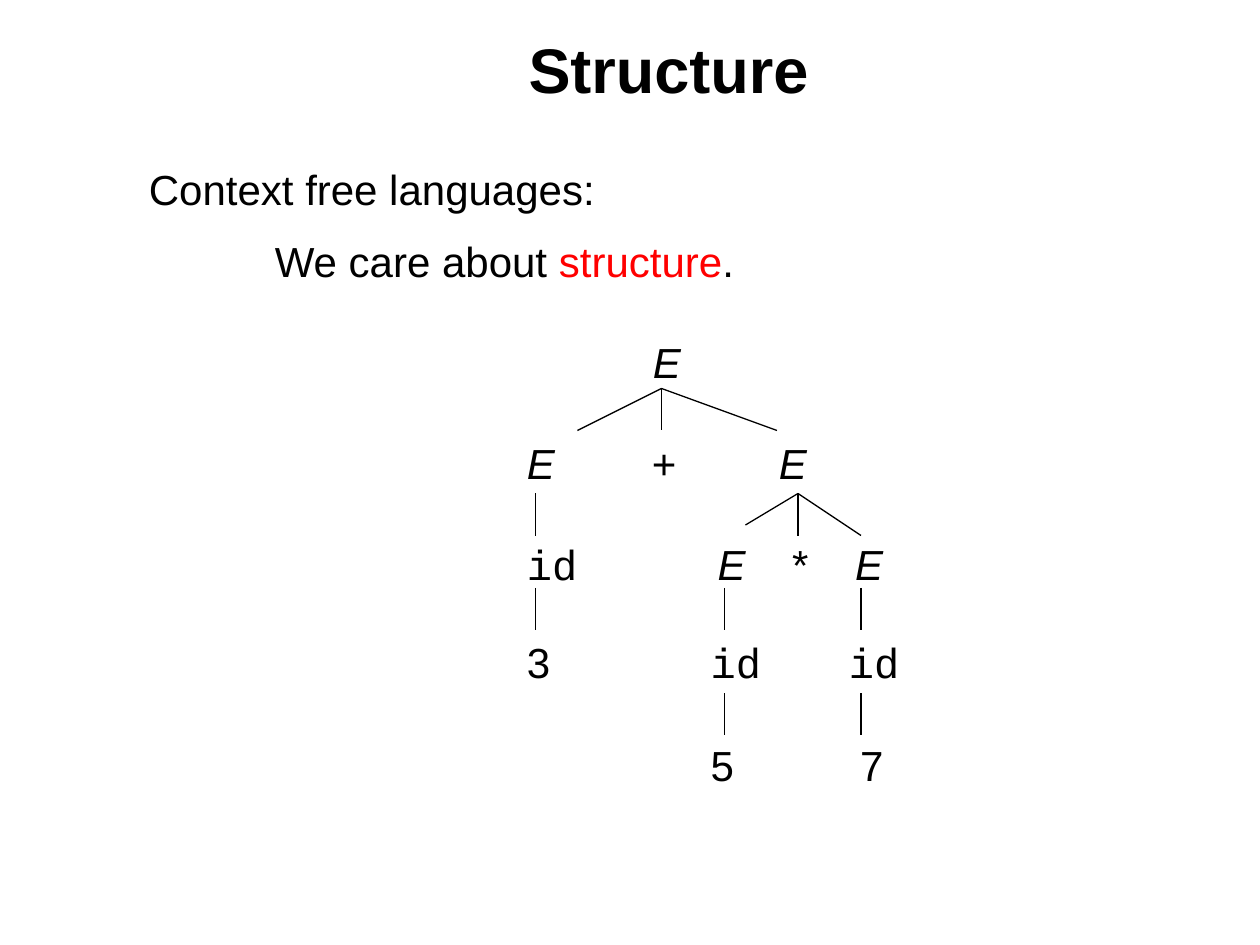
import pptx
import pptx.util
import pptx.dml.color
import pptx.enum.shapes
import pptx.enum.text
import pptx.oxml.ns
import lxml.etree
from dataclasses import dataclass

Pt = pptx.util.Pt
RGB = pptx.dml.color.RGBColor


@dataclass(frozen=True)
class Theme:
    """Colours, fonts and type sizes of the slide."""
    ink: RGB = RGB(0, 0, 0)
    red: RGB = RGB(255, 0, 0)
    sans: str = "Arial"
    mono: str = "Courier New"
    head: float = 36
    text: float = 24
    line: float = 0.75


LOOK = Theme()
BASE = {"name": LOOK.sans, "size": Pt(LOOK.text), "bold": False, "italic": False}
HEAD = {"size": Pt(LOOK.head), "bold": True}
VAR = {"italic": True}
CODE = {"name": LOOK.mono}
RED = {"color": LOOK.red}

ROWS = [
    (0, [], [("Context free languages:", {})]),
    (12.4, [72], [("\tWe care about ", {}), ("structure", RED), (".", {})]),
    (28.8, [288], [("\t", {}), ("E", VAR)]),
    (28.8, [216, 287.5, 360],
     [("\t", {}), ("E", VAR), ("\t+\t", {}), ("E", VAR)]),
    (28.8, [216, 325, 367.5, 403.5],
     [("\t", {}), ("id", CODE), ("\t", {}), ("E", VAR), ("\t*\t", {}), ("E", VAR)]),
    (27.6, [216, 321, 400],
     [("\t3\t", {}), ("id", CODE), ("\t", {}), ("id", CODE)]),
    (29.6, [321, 406.5], [("\t5\t7", {})]),
]

FANS = [
    ((378, 222), [(330, 246), (378, 246), (444, 246)]),
    ((456, 282), [(426, 300), (456, 306), (492, 306)]),
    ((306, 282), [(306, 306)]),
]
STEMS = [(306, 336), (414, 336), (492, 336), (414, 396), (492, 396)]
DROP = 24


def style(font, form):
    """Apply the base format and its changes to a font."""
    form = {**BASE, **form}
    font.color.rgb = form.pop("color", LOOK.ink)
    for key, val in form.items():
        setattr(font, key, val)


def set_tabs(para, stops):
    """Give a paragraph left tab stops in points."""
    qn = pptx.oxml.ns.qn
    tabs = lxml.etree.SubElement(para._p.get_or_add_pPr(), qn("a:tabLst"))
    for stop in stops:
        lxml.etree.SubElement(tabs, qn("a:tab"), pos=str(int(Pt(stop))), algn="l")


def add_runs(para, runs):
    """Add formatted runs to a paragraph."""
    for text, form in runs:
        run = para.add_run()
        run.text = text
        style(run.font, form)


def add_box(slide, area):
    """Add a wrapping text box and return its frame."""
    frame = slide.shapes.add_textbox(*map(Pt, area)).text_frame
    frame.word_wrap = True
    return frame


def add_title(slide):
    """Add the centred heading."""
    frame = add_box(slide, (54, 6, 666, 66))
    frame.vertical_anchor = pptx.enum.text.MSO_ANCHOR.MIDDLE
    para = frame.paragraphs[0]
    para.alignment = pptx.enum.text.PP_ALIGN.CENTER
    add_runs(para, [("Structure ", HEAD)])


def add_body(slide):
    """Add the statement and the labels of the tree."""
    frame = add_box(slide, (78, 90, 606, 365))
    for num, (gap, stops, runs) in enumerate(ROWS):
        para = frame.add_paragraph() if num else frame.paragraphs[0]
        if stops:
            set_tabs(para, stops)
        para.space_before = Pt(gap)
        add_runs(para, runs)


def add_edge(slide, start, end):
    """Draw one branch of the tree."""
    kind = pptx.enum.shapes.MSO_CONNECTOR.STRAIGHT
    edge = slide.shapes.add_connector(kind, *map(Pt, (*start, *end)))
    edge.line.color.rgb = LOOK.ink
    edge.line.width = Pt(LOOK.line)
    lxml.etree.SubElement(edge._element.spPr, pptx.oxml.ns.qn("a:effectLst"))


def main():
    """Build and save the slide."""
    deck = pptx.Presentation()
    deck.slide_width, deck.slide_height = Pt(720), Pt(540)
    slide = deck.slides.add_slide(deck.slide_layouts[6])
    add_body(slide)
    add_title(slide)
    for root, ends in FANS:
        for end in ends:
            add_edge(slide, root, end)
    for x, y in STEMS:
        add_edge(slide, (x, y), (x, y + DROP))
    deck.save("out.pptx")


if __name__ == "__main__":
    main()
